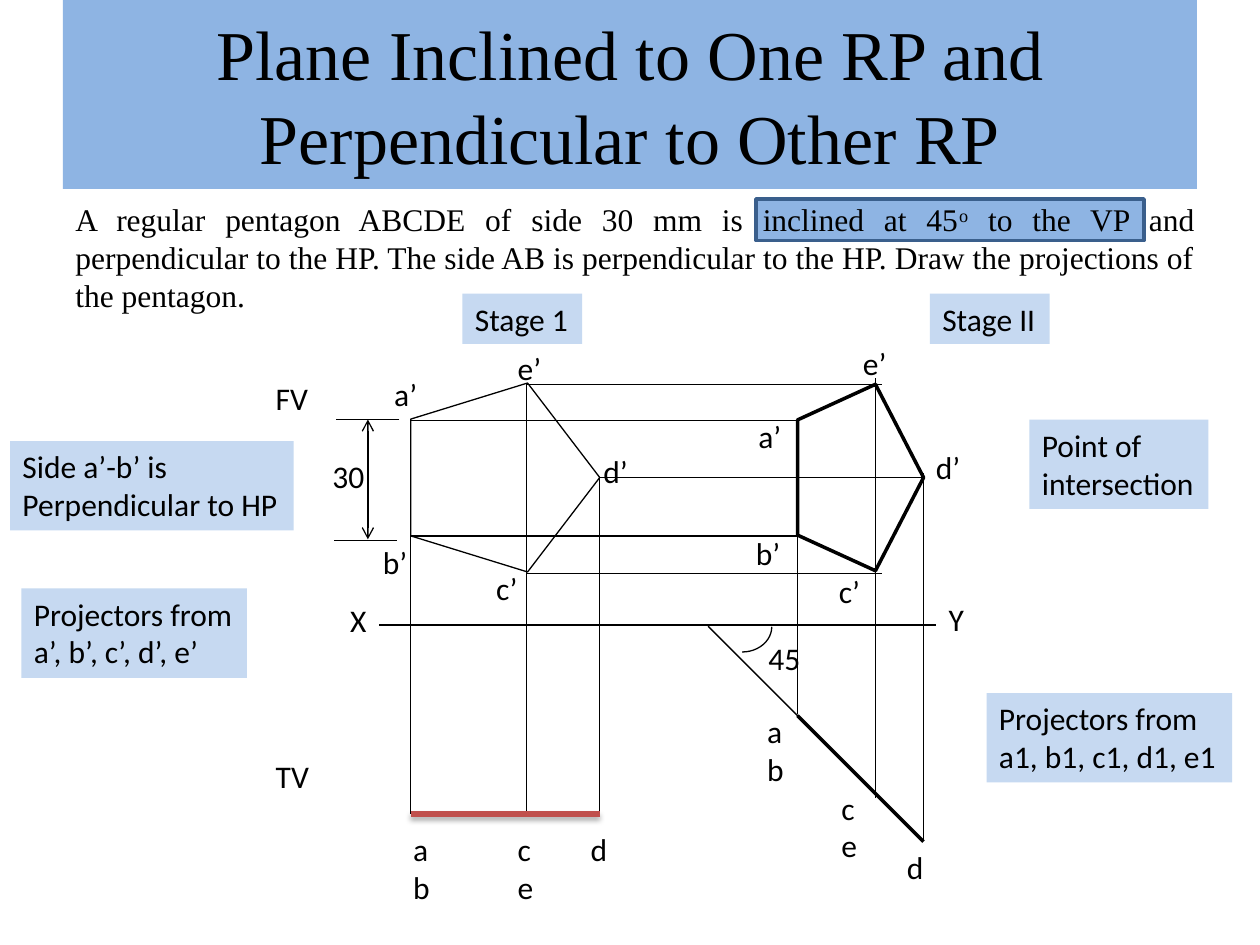
from dataclasses import dataclass
from typing import NamedTuple

from lxml import etree
from pptx import Presentation
from pptx.dml.color import RGBColor
from pptx.enum.shapes import MSO_CONNECTOR, MSO_SHAPE
from pptx.enum.text import MSO_ANCHOR, MSO_AUTO_SIZE, PP_ALIGN
from pptx.oxml.ns import qn
from pptx.util import Inches, Pt

RECT, ARC, PENTAGON = MSO_SHAPE.RECTANGLE, MSO_SHAPE.ARC, MSO_SHAPE.REGULAR_PENTAGON
STRAIGHT = MSO_CONNECTOR.STRAIGHT
LEFT, CENTER, JUSTIFY = PP_ALIGN.LEFT, PP_ALIGN.CENTER, PP_ALIGN.JUSTIFY
MIDDLE, FIT = MSO_ANCHOR.MIDDLE, MSO_AUTO_SIZE.SHAPE_TO_FIT_TEXT


@dataclass(frozen=True)
class Theme:
    ink: str = "000000"
    band: str = "8EB4E3"
    band_edge: str = "3A5F8C"
    note: str = "C6D9F1"
    accent: str = "C0504D"
    serif: str = "Times New Roman"
    sans: str = "Calibri"
    title: float = 40
    body: float = 18
    thin: float = 0.75
    thick: float = 2
    heavy: float = 3


class Box(NamedTuple):
    x: float
    y: float
    w: float
    h: float


class Label(NamedTuple):
    text: str
    x: float
    y: float
    w: float = 4
    h: float = 4


class Note(NamedTuple):
    text: str
    box: Box
    wrap: bool = True


class Line(NamedTuple):
    x1: float
    y1: float
    x2: float
    y2: float


T = Theme()
prs = Presentation()
prs.slide_width, prs.slide_height = Inches(10), Inches(7.5)
COL, ROW = prs.slide_width / 100, prs.slide_height / 75
slide = prs.slides.add_slide(prs.slide_layouts[6])
shapes = slide.shapes


def grid(box: Box) -> tuple[int, int, int, int]:
    return (round(box.x * COL), round(box.y * ROW),
            round(box.w * COL), round(box.h * ROW))


def paint(fill, color: str) -> None:
    fill.solid()
    fill.fore_color.rgb = RGBColor.from_string(color)


def stroke(line, color: str, width: float) -> None:
    paint(line.fill, color)
    line.width = Pt(width)


def add_run(p, text: str, font: str, size: float):
    r = p.add_run()
    r.text = text
    for name, value in {"name": font, "size": Pt(size)}.items():
        setattr(r.font, name, value)
    r.font.color.rgb = RGBColor.from_string(T.ink)
    return r


def draw_text(text: str, box: Box, wrap: bool = False, fill: str | None = None,
              font: str = T.sans, size: float = T.body, align=LEFT, **frame):
    sp = shapes.add_textbox(*grid(box))
    if fill:
        paint(sp.fill, fill)
    tf = sp.text_frame
    for name, value in {"word_wrap": wrap, "auto_size": FIT, **frame}.items():
        setattr(tf, name, value)
    for i, row in enumerate(text.split("\n")):
        p = tf.add_paragraph() if i else tf.paragraphs[0]
        p.alignment = align
        add_run(p, row, font, size)
    return sp


def draw_shape(kind, box: Box, color: str, width: float,
               fill: str | None = None, turn: float = 0) -> None:
    sp = shapes.add_shape(kind, *grid(box))
    sp.shadow.inherit = False
    sp.rotation = turn
    stroke(sp.line, color, width)
    if fill:
        paint(sp.fill, fill)
    else:
        sp.fill.background()


def draw_line(line: Line, color: str = T.ink, width: float = T.thin,
              arrows: bool = False, shadow: bool = False) -> None:
    x1, y1, x2, y2 = grid(Box(*line))
    sp = shapes.add_connector(STRAIGHT, x1, y1, x2, y2)
    stroke(sp.line, color, width)
    pr = sp._element.spPr
    if arrows:
        for end in ("a:headEnd", "a:tailEnd"):
            etree.SubElement(pr.find(qn("a:ln")), qn(end), type="arrow")
    effects = etree.SubElement(pr, qn("a:effectLst"))
    if shadow:
        outer = etree.SubElement(effects, qn("a:outerShdw"), blurRad=str(Pt(3.1)),
                                 dist=str(Pt(1.8)), dir="5400000", rotWithShape="0")
        tint = etree.SubElement(outer, qn("a:srgbClr"), val=T.ink)
        etree.SubElement(tint, qn("a:alpha"), val="35000")


# Columns of the corners in stage 1 and stage 2, and rows shared by both views
A1, C1, D1 = 32.6, 41.8, 47.6
A2, C2, D2 = 63.3, 69.5, 73.3
E_ROW, A_ROW, D_ROW, B_ROW, C_ROW = 30.5, 33.35, 37.9, 42.55, 45.5
XY_ROW, TV_ROW = 49.6, 64.6

PROJECTORS = [
    Line(30.1, XY_ROW, 74.3, XY_ROW),
    Line(D1, TV_ROW, D1, D_ROW),
    Line(C1, TV_ROW, C1, E_ROW),
    Line(A1, TV_ROW, A1, B_ROW),
    Line(A1, A_ROW, A2, A_ROW),
    Line(C1, E_ROW, 70, E_ROW),
    Line(A1, B_ROW, A2, B_ROW),
    Line(D1, D_ROW, D2, D_ROW),
    Line(C1, C_ROW, 70, C_ROW),
    Line(56.2, 49.7, 63.7, 57.2),
    Line(A2, 56.7, A2, A_ROW),
    Line(C2, 63.3, C2, 30),
    Line(D2, 66.7, D2, 37.5),
    Line(31.5, 42.9, 26.5, 42.9),
    Line(31.7, 33.3, 26.7, 33.3),
]
LABELS = [
    Label("a’", 30.3, 29.3, 3.9), Label("b’", 29.4, 42.6),
    Label("c’", 38.4, 44.7, 3.7), Label("d’", 46.9, 35.4),
    Label("e’", 40.1, 27.2, 3.9),
    Label("X", 26.8, 47.2, 3.3), Label("Y", 74.3, 47.1, 3.2),
    Label("a\nb", 31.8, 65.4, 3.4, 7.1), Label("c\ne", 40.1, 65.4, 3.3, 7.1),
    Label("d", 45.9, 65.4, 3.4),
    Label("FV", 20.9, 29.6, 4.6), Label("TV", 20.9, 59.6, 4.7),
    Label("45", 60, 50.2, 5.2), Label("30", 25.4, 35.8, 4.6),
    Label("a\nb", 59.9, 56, 3.4, 7.1), Label("c\ne", 65.8, 62.1, 3.3, 7.1),
    Label("d", 71, 66.8, 3.4),
    Label("a’", 59.2, 32.6, 3.9), Label("b’", 59, 41.9),
    Label("c’", 65.6, 44.9, 3.7), Label("d’", 73.3, 35.1),
    Label("e’", 67.5, 26.8, 3.9),
]
NOTES = [
    Note("Stage 1", Box(36.7, 23.3, 9.5, 4), False),
    Note("Stage II", Box(73.8, 23.3, 9.5, 4), False),
    Note("Side a’-b’ is\nPerpendicular to HP", Box(0.8, 35, 22.5, 7.1)),
    Note("Projectors from\na’, b’, c’, d’, e’", Box(1.7, 46.7, 17.9, 7.1)),
    Note("Projectors from\na1, b1, c1, d1, e1", Box(78.3, 55, 19.5, 7.1)),
    Note("Point of\nintersection", Box(81.7, 33.3, 14.2, 7.1)),
]

draw_shape(RECT, Box(60, 15.8, 30.8, 3.3), T.band_edge, T.thick, T.band)
draw_text("Plane Inclined to One RP and Perpendicular to Other RP", Box(5, 0, 90, 15),
          True, T.band, T.serif, T.title, CENTER,
          auto_size=MSO_AUTO_SIZE.NONE, vertical_anchor=MIDDLE)
problem = draw_text("A regular pentagon ABCDE of side 30 mm is inclined at 45",
                    Box(5, 15.4, 90.8, 10.1), True, font=T.serif, align=JUSTIFY)
p = problem.text_frame.paragraphs[0]
degree = add_run(p, "o", T.serif, T.body)
degree.font._element.set("baseline", "30000")
add_run(p, " to the VP and perpendicular to the HP. The side AB is perpendicular "
           "to the HP. Draw the projections of the pentagon.", T.serif, T.body)

draw_shape(PENTAGON, Box(A1, 30.4, 15, 15), T.ink, T.thin, turn=90)
for line in PROJECTORS:
    draw_line(line)
draw_line(Line(29.2, 42.8, 29.2, 33.3), arrows=True)
draw_shape(ARC, Box(56.9, 47.4, 4, 4.7), T.ink, T.thin, turn=90)
draw_line(Line(A2, 56.8, D2, 66.8), width=T.thick)
draw_shape(PENTAGON, Box(60.9, 32.9, 14.8, 10), T.ink, T.thick, turn=90)
draw_line(Line(A1, TV_ROW, D1, TV_ROW), T.accent, T.heavy, shadow=True)
for text, *place in LABELS:
    draw_text(text, Box(*place))
for note in NOTES:
    draw_text(note.text, note.box, note.wrap, T.note)

prs.save("out.pptx")
